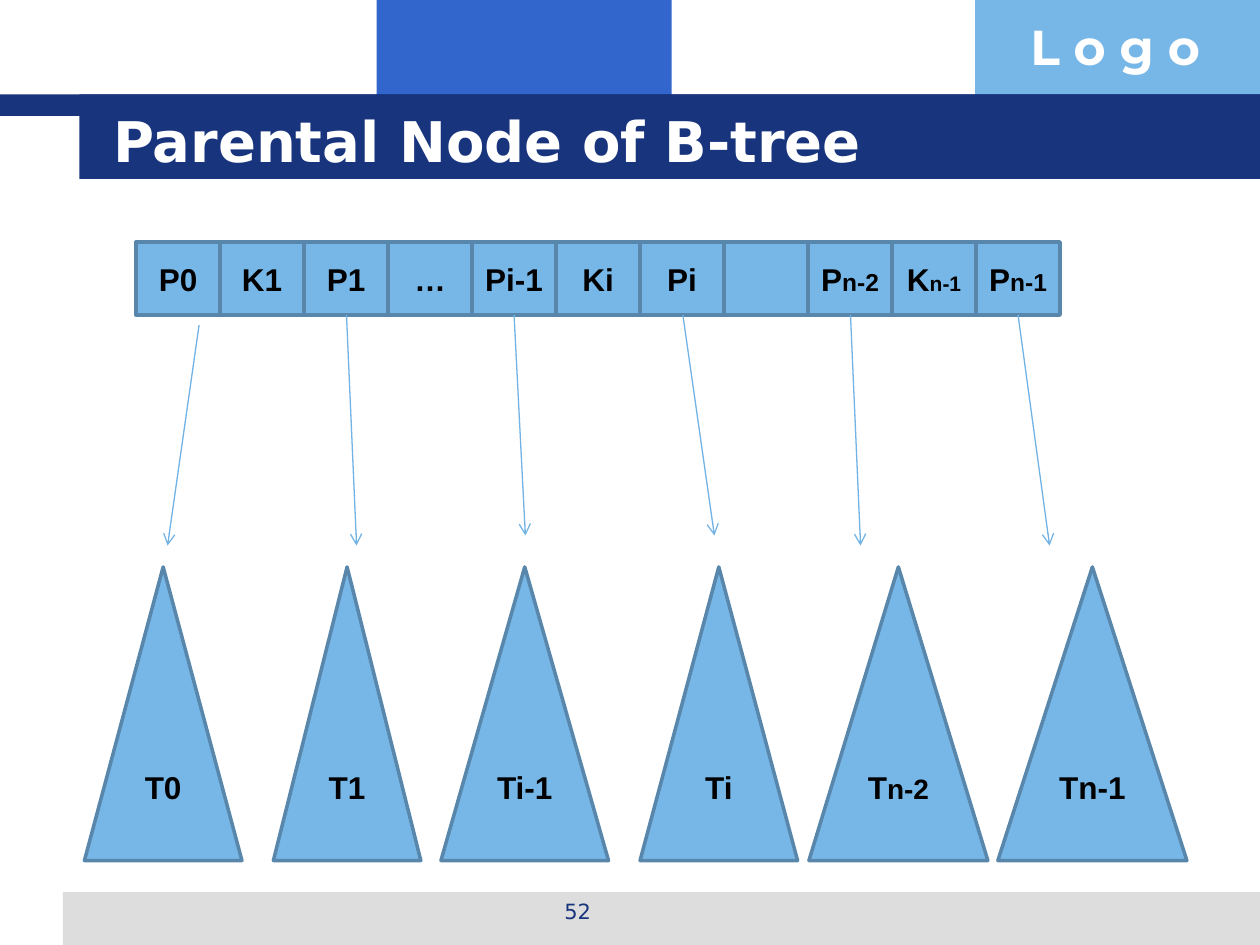
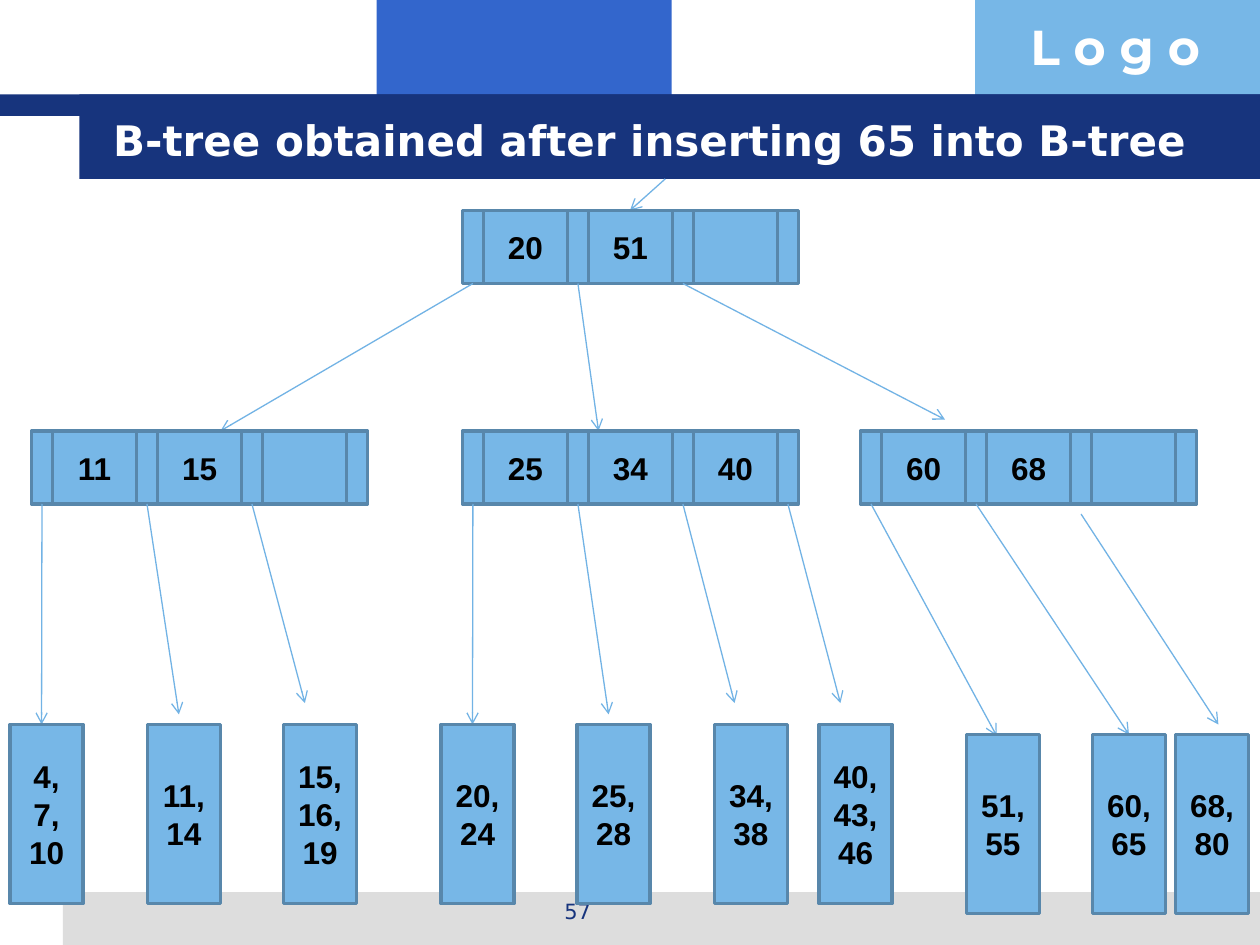
from dataclasses import dataclass
from typing import Any, NamedTuple

import lxml.etree
import pptx
import pptx.dml.color
import pptx.enum.shapes
import pptx.enum.text
import pptx.oxml.ns
import pptx.slide
import pptx.util

Inches = pptx.util.Inches
Pt = pptx.util.Pt
RECT = pptx.enum.shapes.MSO_SHAPE.RECTANGLE
TRIANGLE = pptx.enum.shapes.MSO_SHAPE.ISOSCELES_TRIANGLE
LEFT = pptx.enum.text.PP_ALIGN.LEFT
CENTER = pptx.enum.text.PP_ALIGN.CENTER

NAVY, BLUE, SKY, GREY = "17347D", "3366CC", "77B7E7", "DDDDDD"
EDGE, ARROW, WHITE, BLACK = "5887AB", "72B3E5", "FFFFFF", "000000"

KEY_W = 2 / 3
POINTER_W = 1 / 6
PITCH = KEY_W + POINTER_W
CELL_H = 0.58
LEAF_H = 1.42
TREE_TOP, TREE_H = 4.5, 2.33

CELL_FRAME = {
    "word_wrap": True,
    "vertical_anchor": pptx.enum.text.MSO_ANCHOR.MIDDLE,
    "margin_left": Inches(0.05),
    "margin_right": Inches(0.05),
}
TITLE_FRAME = {"word_wrap": True, "vertical_anchor": pptx.enum.text.MSO_ANCHOR.MIDDLE}
PLAIN_FRAME = {"word_wrap": True}
CELL_FONT = {"name": "Arial", "size": Pt(18), "bold": True}
TITLE_FONT = {"name": "DejaVu Sans", "size": Pt(32), "bold": True}
NUMBER_FONT = {"name": "DejaVu Sans", "size": Pt(12), "bold": False}
LOGO_FONT = {"name": "Montserrat", "size": Pt(28), "bold": True}


class Box(NamedTuple):
    x: float
    y: float
    w: float
    h: float


class Point(NamedTuple):
    x: float
    y: float


class Band(NamedTuple):
    box: Box
    fill: str


@dataclass
class Label:
    text: str
    tail: str = ""
    tail_size: int = 14


@dataclass
class Subtree:
    x: float
    w: float
    label: Label
    start: Point
    tip: Point


@dataclass
class Node:
    x: float
    y: float
    keys: list[str]
    tips: list[Point]
    last_gap: float = 0


@dataclass
class Leaf:
    x: float
    y: float
    values: str


BANDS = [
    Band(Box(2.99, 0, 2.34, 0.92), BLUE),
    Band(Box(7.74, 0, 2.26, 0.92), SKY),
    Band(Box(0.5, 7.08, 9.5, 0.42), GREY),
    Band(Box(0, 0.75, 10, 0.17), NAVY),
    Band(Box(0.63, 0.75, 9.37, 0.67), NAVY),
]

PARENT = Point(1.08, 1.92)
PARENT_CELLS = [
    Label("P0"), Label("K1"), Label("P1"), Label("…"), Label("Pi-1"), Label("Ki"),
    Label("Pi"), Label(""), Label("P", "n-2"), Label("K", "n-1", 12), Label("P", "n-1"),
]
SUBTREES = [
    Subtree(0.67, 1.25, Label("T0"), Point(1.58, 2.58), Point(1.33, 4.33)),
    Subtree(2.17, 1.17, Label("T1"), Point(2.75, 2.5), Point(2.83, 4.33)),
    Subtree(3.5, 1.33, Label("Ti-1"), Point(4.08, 2.5), Point(4.17, 4.25)),
    Subtree(5.08, 1.25, Label("Ti"), Point(5.42, 2.5), Point(5.67, 4.25)),
    Subtree(6.42, 1.42, Label("T", "n-2", 16), Point(6.75, 2.5), Point(6.83, 4.33)),
    Subtree(7.92, 1.5, Label("Tn-1"), Point(8.08, 2.5), Point(8.33, 4.33)),
]

NODES = [
    Node(3.67, 1.67, ["20", "51", ""],
         [Point(1.75, 3.42), Point(4.75, 3.42), Point(7.5, 3.33)]),
    Node(0.25, 3.42, ["11", "15", ""],
         [Point(0.33, 5.75), Point(1.42, 5.67), Point(2.42, 5.58)]),
    Node(3.67, 3.42, ["25", "34", "40"],
         [Point(3.75, 5.75), Point(4.83, 5.67), Point(5.83, 5.58), Point(6.67, 5.58)]),
    Node(6.83, 3.42, ["60", "68", ""],
         [Point(7.91, 5.84), Point(8.96, 5.83), Point(9.67, 5.75)], 0.08),
]
LEAVES = [
    Leaf(0.08, 5.75, "4,\n7,\n10"),
    Leaf(1.17, 5.75, "11,\n14"),
    Leaf(2.25, 5.75, "15,\n16,\n19"),
    Leaf(3.5, 5.75, "20,\n24"),
    Leaf(4.58, 5.75, "25,\n28"),
    Leaf(5.67, 5.75, "34,\n38"),
    Leaf(6.5, 5.75, "40,\n43,\n46"),
    Leaf(7.67, 5.83, "51,\n55"),
    Leaf(8.67, 5.83, "60,\n65"),
    Leaf(9.33, 5.83, "68,\n80"),
]


def rgb(value: str) -> pptx.dml.color.RGBColor:
    return pptx.dml.color.RGBColor.from_string(value)


def apply(obj: Any, values: dict[str, Any]) -> None:
    for name, value in values.items():
        setattr(obj, name, value)


def lengths(box: Box) -> list[int]:
    return [Inches(v) for v in box]


def add_run(p: Any, text: str, font: dict[str, Any], color: str) -> None:
    r = p.add_run()
    r.text = text
    apply(r.font, font)
    r.font.color.rgb = rgb(color)


def write(tf: Any, label: Label, frame: dict[str, Any], font: dict[str, Any],
          color: str, align: Any) -> None:
    apply(tf, frame)
    for i, line in enumerate(label.text.split("\n")):
        p = tf.paragraphs[0] if i == 0 else tf.add_paragraph()
        p.alignment = align
        add_run(p, line, font, color)
    if label.tail:
        add_run(p, label.tail, font | {"size": Pt(label.tail_size)}, color)


def add_text(s: pptx.slide.Slide, box: Box, text: str, frame: dict[str, Any],
             font: dict[str, Any], color: str, align: Any = LEFT) -> None:
    sp = s.shapes.add_textbox(*lengths(box))
    write(sp.text_frame, Label(text), frame, font, color, align)


def add_filled(s: pptx.slide.Slide, kind: Any, box: Box, fill: str) -> Any:
    sp = s.shapes.add_shape(kind, *lengths(box))
    sp.shadow.inherit = False
    sp.fill.solid()
    sp.fill.fore_color.rgb = rgb(fill)
    sp.line.fill.background()
    return sp


def add_cell(s: pptx.slide.Slide, box: Box, label: Label, kind: Any = RECT) -> None:
    sp = add_filled(s, kind, box, SKY)
    sp.line.color.rgb = rgb(EDGE)
    sp.line.width = Pt(2)
    if label.text:
        write(sp.text_frame, label, CELL_FRAME, CELL_FONT, BLACK, CENTER)


def add_arrow(s: pptx.slide.Slide, start: Point, tip: Point) -> None:
    ends = [Inches(v) for v in (*start, *tip)]
    c = s.shapes.add_connector(pptx.enum.shapes.MSO_CONNECTOR.STRAIGHT, *ends)
    c.line.color.rgb = rgb(ARROW)
    c.line.width = Pt(0.75)
    qn = pptx.oxml.ns.qn
    sp_pr = c.element.spPr
    lxml.etree.SubElement(sp_pr.find(qn("a:ln")), qn("a:tailEnd"), type="arrow")
    lxml.etree.SubElement(sp_pr, qn("a:effectLst"))


def add_node(s: pptx.slide.Slide, node: Node) -> None:
    for i, key in enumerate(node.keys):
        x = node.x + POINTER_W + i * PITCH
        add_cell(s, Box(x, node.y, KEY_W, CELL_H), Label(key))
    for i in range(len(node.keys) + 1):
        add_cell(s, Box(node.x + i * PITCH, node.y, POINTER_W, CELL_H), Label(""))
    for i, tip in enumerate(node.tips):
        gap = node.last_gap if i == len(node.tips) - 1 else 0
        start = Point(node.x + POINTER_W / 2 + i * PITCH, node.y + CELL_H + gap)
        add_arrow(s, start, tip)


def add_slide(prs: Any, title: str, size: int, width: float, number: str) -> pptx.slide.Slide:
    s = prs.slides.add_slide(prs.slide_layouts[6])
    for band in BANDS:
        add_filled(s, RECT, band.box, band.fill)
    add_text(s, Box(8.08, 0.08, 1.93, 0.57), "L o g o", PLAIN_FRAME, LOGO_FONT, WHITE)
    add_text(s, Box(0.8, 0.8, width, 0.62), title, TITLE_FRAME,
             TITLE_FONT | {"size": Pt(size)}, WHITE)
    add_text(s, Box(3.42, 7.08, 2.33, 0.35), number, PLAIN_FRAME, NUMBER_FONT, NAVY, CENTER)
    return s


def draw_parental_node(prs: Any) -> None:
    s = add_slide(prs, "Parental Node of B-tree", 32, 8.53, "52")
    for i, label in enumerate(PARENT_CELLS):
        add_cell(s, Box(PARENT.x + i * KEY_W, PARENT.y, KEY_W, CELL_H), label)
    for tree in SUBTREES:
        add_arrow(s, tree.start, tree.tip)
        add_cell(s, Box(tree.x, TREE_TOP, tree.w, TREE_H), tree.label, TRIANGLE)


def draw_insertion(prs: Any) -> None:
    s = add_slide(prs, "B-tree obtained after inserting 65 into B-tree", 24, 8.95, "57")
    add_arrow(s, Point(5.28, 1.42), Point(5, 1.67))
    for node in NODES:
        add_node(s, node)
    for leaf in LEAVES:
        add_cell(s, Box(leaf.x, leaf.y, CELL_H, LEAF_H), Label(leaf.values))


def main() -> None:
    prs = pptx.Presentation()
    apply(prs, {"slide_width": Inches(10), "slide_height": Inches(7.5)})
    draw_parental_node(prs)
    draw_insertion(prs)
    prs.save("out.pptx")


if __name__ == "__main__":
    main()
